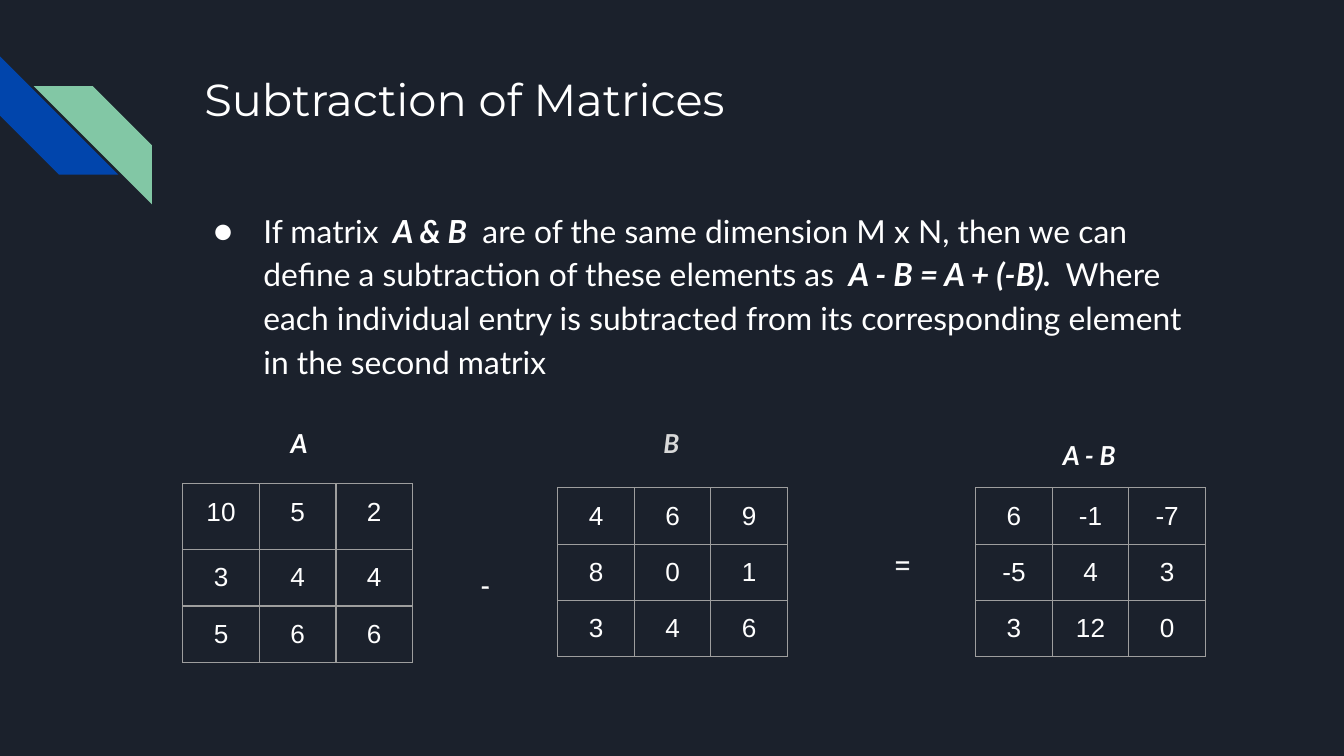
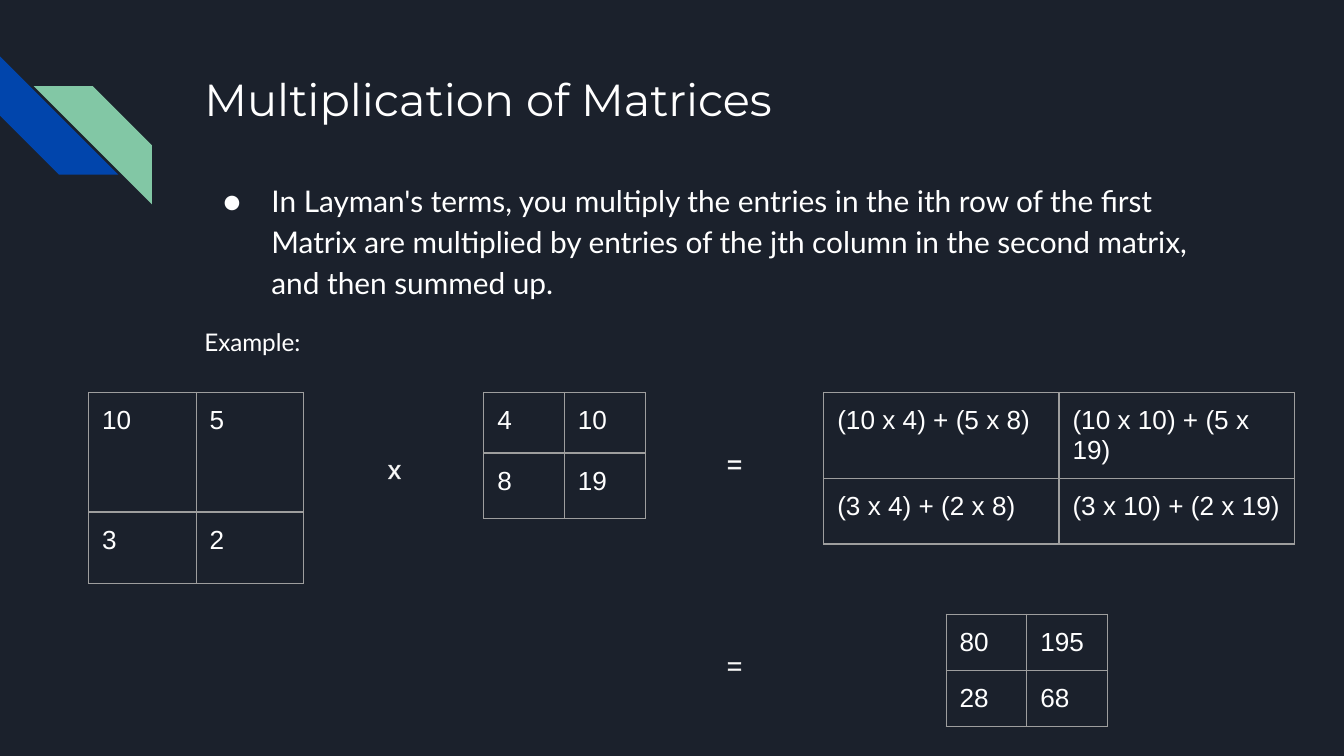
from lxml.etree import SubElement
from pptx import Presentation
from pptx.dml.color import RGBColor
from pptx.enum.shapes import MSO_SHAPE
from pptx.enum.text import MSO_ANCHOR, MSO_AUTO_SIZE, PP_ALIGN
from pptx.oxml.ns import qn
from pptx.util import Inches, Pt

HUES = {
    "back": "1B212C",
    "blue": "0145AC",
    "green": "82C7A5",
    "white": "FFFFFF",
    "pale": "D9D9D9",
    "grid": "9E9E9E",
}
HEAD, BODY, CELL = "Montserrat", "Lato", "Arial"
WIDE = 10
STRIPES = [
    (0, 0.42, "blue", 270, False),
    (0.25, 0.64, "green", 0, True),
]
SLIDES = [
    {
        "title": "Subtraction of Matrices",
        "place": (1.36, 1.43),
        "size": 17,
        "hang": 0.37,
        "point": [
            ("If matrix ", False),
            (" A & B ", True),
            (" are of the same dimension M x N, then we can define a subtraction of these elements as ", False),
            (" A - B = A + (-B).  ", True),
            ("Where each individual entry is subtracted from its corresponding element in the second matrix", False),
        ],
        "note": None,
        "align": PP_ALIGN.CENTER,
        "grids": [
            (1.36, 3.6, 0.57, [0.49, 0.33, 0.33], [(10, 5, 2), (3, 4, 4), (5, 6, 6)]),
            (4.15, 3.63, 0.57, [0.33] * 3, [(4, 6, 9), (8, 0, 1), (3, 4, 6)]),
            (7.26, 3.63, 0.57, [0.33] * 3, [(6, -1, -7), (-5, 4, 3), (3, 12, 0)]),
        ],
        "labels": [
            ("A", 1.38, 3.08, "white"),
            ("B", 4.15, 3.08, "pale"),
            ("A - B", 7.26, 3.17, "white"),
        ],
        "signs": [("-", 3.32, 4.18, 0.58, 0.21), ("=", 6.37, 4.03, 0.69, 0.44)],
    },
    {
        "title": "Multiplication of Matrices",
        "place": (1.42, 1.22),
        "size": 16,
        "hang": 0.36,
        "point": [
            ("In Layman's terms, you multiply the entries in the ith row of the first Matrix are "
             "multiplied by entries of the jth column in the second matrix, and then summed up.", False),
        ],
        "note": "Example:",
        "align": PP_ALIGN.LEFT,
        "grids": [
            (6.13, 2.92, 1.75, [0.45, 0.49], [
                ("(10 x 4) + (5 x 8)", "(10 x 10) + (5 x 19)"),
                ("(3 x 4) + (2 x 8)", "(3 x 10) + (2 x 19)"),
            ]),
            (3.6, 2.92, 0.6, [0.45, 0.49], [(4, 10), (8, 19)]),
            (0.66, 2.92, 0.8, [0.89, 0.53], [(10, 5), (3, 2)]),
            (7.04, 4.57, 0.6, [0.4, 0.35], [(80, 195), (28, 68)]),
        ],
        "labels": [],
        "signs": [
            ("x", 2.74, 3.32, 0.39, 0.48),
            ("=", 5.13, 3.28, 0.67, 0.44),
            ("=", 5.13, 4.78, 0.67, 0.44),
        ],
    },
]


def color(key):
    return RGBColor.from_string(HUES[key])


def style(run, size, face, hue="white", strong=False):
    font = run.font
    font.size, font.name = Pt(size), face
    font.bold = font.italic = strong
    font.color.rgb = color(hue)


def stroke(node, tag, hue):
    line = SubElement(node, qn(tag), w=str(Pt(0.75)))
    fill = SubElement(line, qn("a:solidFill"))
    SubElement(fill, qn("a:srgbClr"), val=HUES[hue])
    return line


def pad(owner):
    owner.margin_left = owner.margin_right = Inches(0.1)
    owner.margin_top = owner.margin_bottom = Inches(0.1)


def place(shape, *box):
    shape.left, shape.top, shape.width, shape.height = map(Inches, box)
    frame = shape.text_frame
    frame.word_wrap = True
    frame.auto_size = MSO_AUTO_SIZE.NONE
    frame.vertical_anchor = MSO_ANCHOR.TOP
    pad(frame)
    return frame


def add_bands(slide, layout):
    for left, top, hue, turn, flip in STRIPES:
        band = slide.shapes.add_shape(
            MSO_SHAPE.DIAGONAL_STRIPE, Inches(left), Inches(top), Inches(0.88), Inches(0.88))
        band.adjustments[0] = 0.5
        band.rotation = turn
        band.shadow.inherit = False
        band.fill.solid()
        band.fill.fore_color.rgb = color(hue)
        band.line.fill.background()
        if flip:
            band.element.spPr.get_or_add_xfrm().set("flipH", "1")
        layout.shapes.element.append(band.element)


def add_title(slide, text):
    frame = place(slide.shapes.title, 1.42, 0.43, 7.7, 1)
    frame.text = text
    para = frame.paragraphs[0]
    para.alignment = PP_ALIGN.LEFT
    style(para.runs[0], 24, HEAD)


def space(para, before):
    para.line_spacing = 1.15
    para.space_before = Pt(before)


def add_body(slide, data):
    frame = place(slide.placeholders[1], *data["place"], 7.7, 3.18)
    para = frame.paragraphs[0]
    props = para._p.get_or_add_pPr()
    props.set("marL", str(Inches(0.5)))
    props.set("indent", str(-Inches(data["hang"])))
    tint = SubElement(props, qn("a:buClr"))
    SubElement(tint, qn("a:srgbClr"), val=HUES["white"])
    SubElement(props, qn("a:buFont"), typeface=BODY)
    SubElement(props, qn("a:buChar"), char="●")
    space(para, 0)
    for text, strong in data["point"]:
        run = para.add_run()
        run.text = text
        style(run, data["size"], BODY, strong=strong)
    if data["note"]:
        para = frame.add_paragraph()
        para.text = data["note"]
        props = para._p.get_or_add_pPr()
        props.set("marL", "0")
        props.set("indent", "0")
        SubElement(props, qn("a:buNone"))
        space(para, 12)
        style(para.runs[0], 13, BODY)


def add_grid(slide, align, left, top, width, heights, rows):
    count = len(rows[0])
    table = slide.shapes.add_table(
        len(rows), count, Inches(left), Inches(top),
        Inches(width * count), Inches(sum(heights))).table
    table.first_row = table.horz_banding = False
    for col in table.columns:
        col.width = Inches(width)
    for row, height, values in zip(table.rows, heights, rows):
        row.height = Inches(height)
        for cell, value in zip(row.cells, values):
            pad(cell)
            cell.text_frame.text = str(value)
            para = cell.text_frame.paragraphs[0]
            para.alignment = align
            style(para.runs[0], 14, CELL)
            props = cell._tc.get_or_add_tcPr()
            for side in "LRTB":
                stroke(props, "a:ln" + side, "grid")
            cell.fill.background()


def add_text(slide, text, box, face, hue="white", strong=False):
    shape = slide.shapes.add_textbox(*map(Inches, box))
    frame = place(shape, *box)
    frame.text = text
    para = frame.paragraphs[0]
    para.alignment = PP_ALIGN.CENTER
    style(para.runs[0], 14, face, hue, strong)
    return frame


def add_sign(slide, text, *box):
    frame = add_text(slide, text, box, CELL)
    frame.margin_top = frame.margin_bottom = Inches(0.05)
    props = frame.paragraphs[0].runs[0]._r.get_or_add_rPr()
    props.insert(0, stroke(props, "a:ln", "pale"))


def main():
    deck = Presentation()
    deck.slide_width, deck.slide_height = Inches(WIDE), Inches(WIDE * 9 / 16)
    layout = deck.slide_layouts[1]
    layout.background.fill.solid()
    layout.background.fill.fore_color.rgb = color("back")
    for data in SLIDES:
        slide = deck.slides.add_slide(layout)
        add_title(slide, data["title"])
        add_body(slide, data)
        for grid in data["grids"]:
            add_grid(slide, data["align"], *grid)
        for text, left, top, hue in data["labels"]:
            add_text(slide, text, (left, top, 1.69, 0.44), BODY, hue, True)
        for sign in data["signs"]:
            add_sign(slide, *sign)
    add_bands(deck.slides[0], layout)
    deck.save("out.pptx")


if __name__ == "__main__":
    main()
